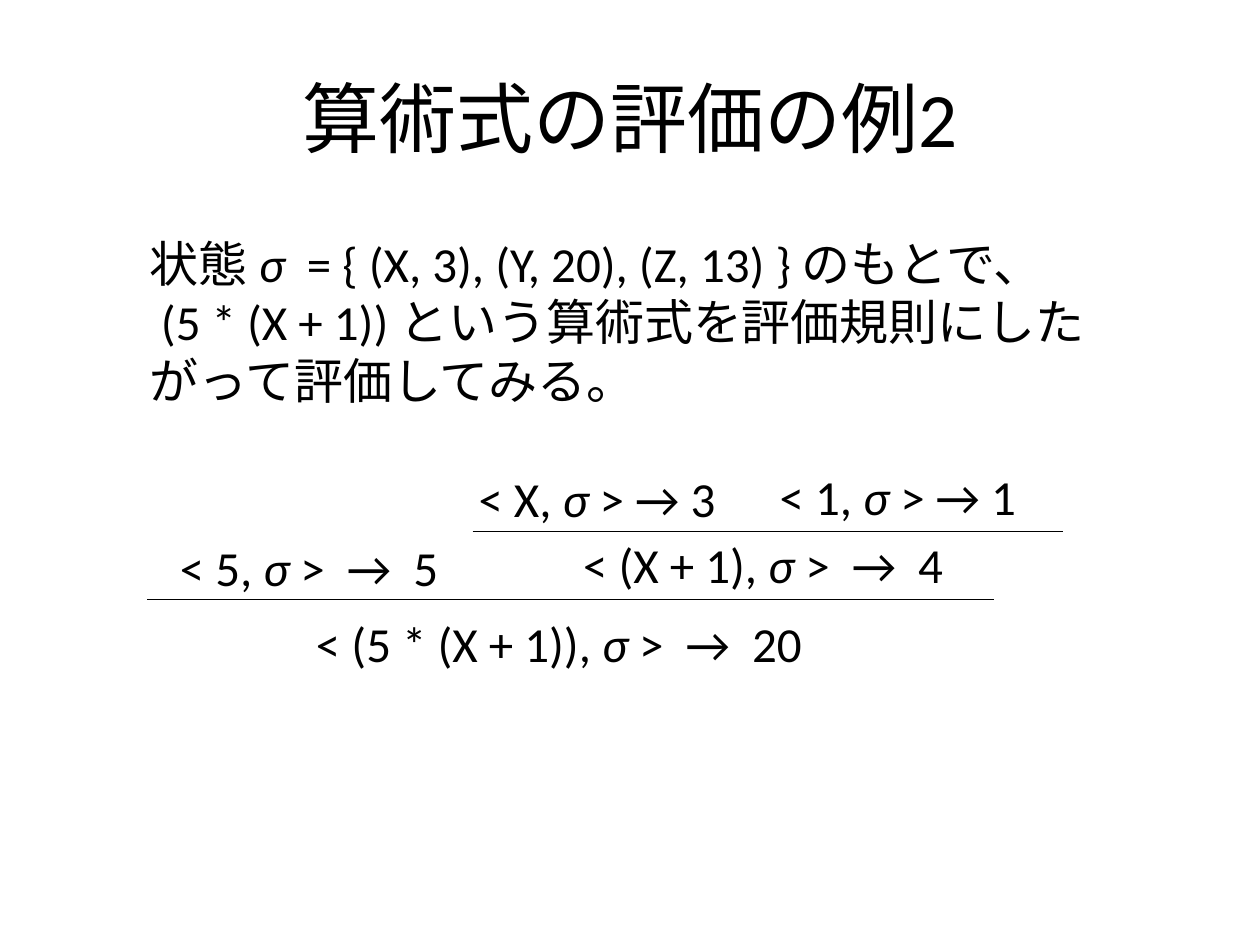
from lxml import etree
from pptx import Presentation
from pptx.dml.color import RGBColor
from pptx.enum.lang import MSO_LANGUAGE_ID
from pptx.enum.shapes import MSO_CONNECTOR
from pptx.enum.text import MSO_ANCHOR, MSO_AUTO_SIZE
from pptx.oxml.ns import qn
from pptx.util import Inches, Pt

STRAIGHT = MSO_CONNECTOR.STRAIGHT
TOP, MIDDLE = MSO_ANCHOR.TOP, MSO_ANCHOR.MIDDLE
NO_FIT, FIT_SHAPE = MSO_AUTO_SIZE.NONE, MSO_AUTO_SIZE.SHAPE_TO_FIT_TEXT
JAPANESE = MSO_LANGUAGE_ID.JAPANESE

FONT = "Calibri"
COLORS = {"ink": "000000"}
TITLE_SIZE, BODY_SIZE = 44, 28
FORMULA_HEIGHT = 0.57

TITLE = "算術式の評価の例2"
EXPLANATION = [
    ["状態 ", "σ  ", "= { (X, 3), (Y, 20), (Z, 13) } のもとで、"],
    [" (5 * (X + 1)) という算術式を評価規則にしたがって評価してみる。"],
]
JUDGEMENTS = [
    (2.41, 4.82, 4.26, ["< (5 * (X + 1)), ", "σ ", ">  →  20"]),
    (1.33, 4.22, 2.34, ["< 5, ", "σ ", ">  →  5"]),
    (4.53, 4.19, 3.16, ["< (X + 1), ", "σ ", ">  →  4"]),
    (3.70, 3.67, 2.17, ["< X, ", "σ ", "> → 3"]),
    (6.09, 3.65, 2.16, ["< 1, ", "σ ", "> → 1"]),
]
INFERENCE_BARS = [(1.17, 7.89, 4.76), (3.75, 8.44, 4.22)]


def place(shape, left, top, width, height):
    """Move and size a shape, in inches."""
    shape.left, shape.top = Inches(left), Inches(top)
    shape.width, shape.height = Inches(width), Inches(height)


def write_formula(paragraph, pieces, size):
    """Write the pieces as runs, with the state symbol in italics."""
    for piece in pieces:
        run = paragraph.add_run()
        run.text = piece
        run.font.name = FONT
        run.font.size = Pt(size)
        run.font.italic = piece.startswith("σ")
        run.font.language_id = JAPANESE
        run.font.color.rgb = RGBColor.from_string(COLORS["ink"])


def set_title(slide):
    """Fill the title placeholder."""
    title = slide.shapes.title
    place(title, 0.5, 0.3, 9, 1.25)
    title.text_frame.vertical_anchor = MIDDLE
    title.text_frame.auto_size = NO_FIT
    write_formula(title.text_frame.paragraphs[0], [TITLE], TITLE_SIZE)


def set_explanation(slide):
    """Fill the body placeholder with unbulleted paragraphs."""
    body = slide.placeholders[1]
    place(body, 1.09, 1.8, 7.81, 1.51)
    frame = body.text_frame
    frame.vertical_anchor = TOP
    frame.auto_size = FIT_SHAPE
    for index, pieces in enumerate(EXPLANATION):
        paragraph = frame.add_paragraph() if index else frame.paragraphs[0]
        properties = paragraph._p.get_or_add_pPr()
        properties.set("marL", "0")
        properties.set("indent", "0")
        etree.SubElement(properties, qn("a:buNone"))
        paragraph.space_before = Pt(0)
        write_formula(paragraph, pieces, BODY_SIZE)


def add_judgement(slide, left, top, width, pieces):
    """Add one evaluation judgement of the derivation tree."""
    judgement = slide.shapes.add_textbox(
        Inches(left), Inches(top), Inches(width), Inches(FORMULA_HEIGHT))
    frame = judgement.text_frame
    frame.word_wrap = False
    frame.auto_size = FIT_SHAPE
    write_formula(frame.paragraphs[0], pieces, BODY_SIZE)


def add_inference_bar(slide, start, end, height):
    """Draw the bar between premises and conclusion."""
    bar = slide.shapes.add_connector(
        STRAIGHT, Inches(start), Inches(height), Inches(end), Inches(height))
    bar.line.color.rgb = RGBColor.from_string(COLORS["ink"])
    bar.line.width = Pt(0.75)
    etree.SubElement(bar._element.spPr, qn("a:effectLst"))


def main():
    """Build the slide and save it."""
    deck = Presentation()
    deck.slide_width, deck.slide_height = Inches(10), Inches(7.5)
    slide = deck.slides.add_slide(deck.slide_layouts[1])
    set_title(slide)
    set_explanation(slide)
    for judgement in JUDGEMENTS:
        add_judgement(slide, *judgement)
    for bar in INFERENCE_BARS:
        add_inference_bar(slide, *bar)
    deck.save("out.pptx")


if __name__ == "__main__":
    main()
